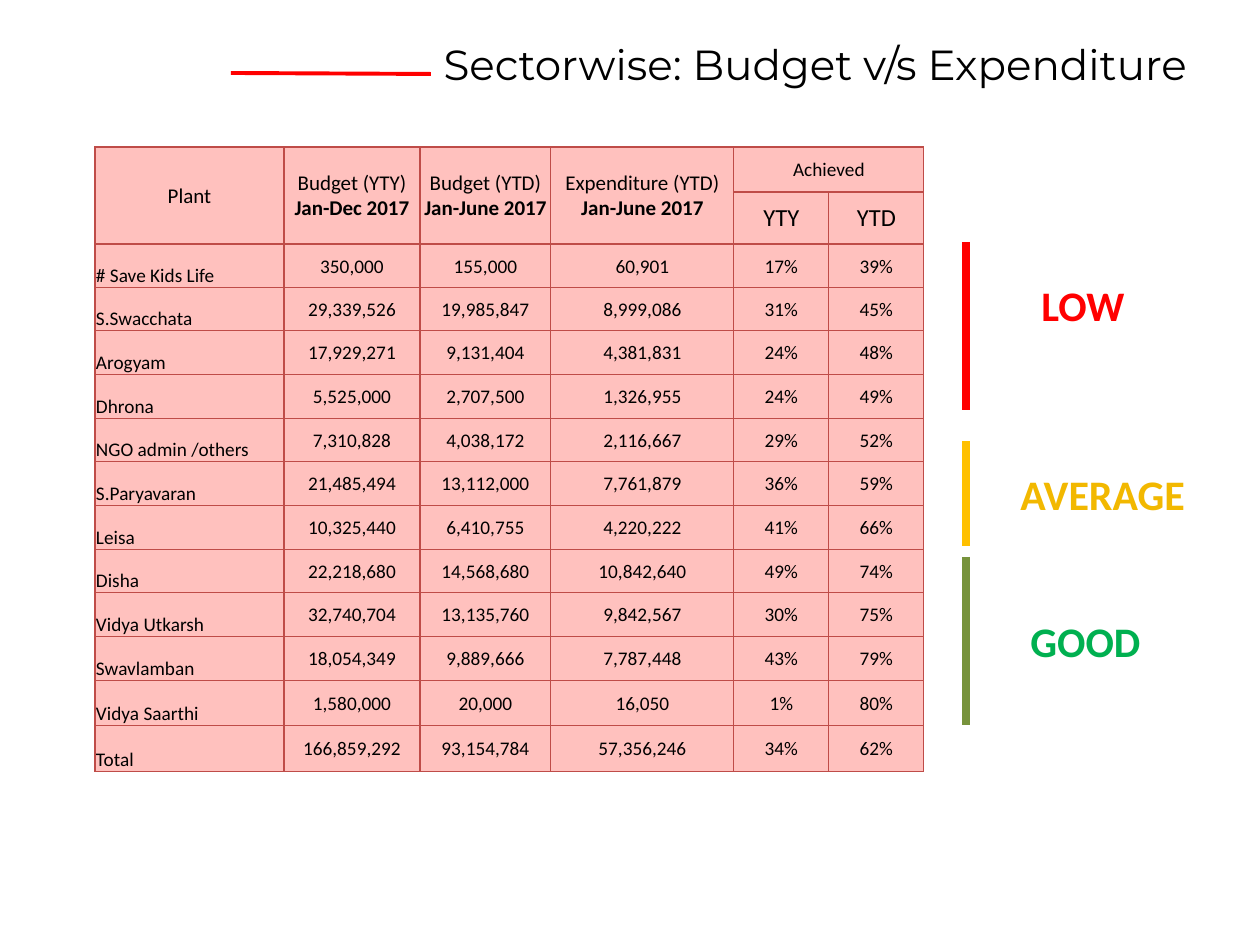
from dataclasses import dataclass

from lxml.etree import SubElement
from pptx import Presentation
from pptx.dml.color import RGBColor
from pptx.enum.shapes import MSO_CONNECTOR
from pptx.enum.text import MSO_ANCHOR, MSO_AUTO_SIZE, PP_ALIGN
from pptx.oxml.ns import qn
from pptx.util import Emu, Pt

PX_PER_INCH = 126

BLACK = RGBColor(0x00, 0x00, 0x00)
RED = RGBColor(0xFF, 0x00, 0x00)
AMBER = RGBColor(0xFF, 0xC0, 0x00)
GOLD = RGBColor(0xF2, 0xB8, 0x00)
OLIVE = RGBColor(0x77, 0x93, 0x3C)
GREEN = RGBColor(0x00, 0xB0, 0x50)
PINK = RGBColor(0xFF, 0xC1, 0xBE)
BORDER = RGBColor(0xBF, 0x4C, 0x48)


@dataclass(frozen=True)
class Box:
    left: int
    top: int
    width: int
    height: int


@dataclass(frozen=True)
class Band:
    name: str
    top: int
    bottom: int
    bar_color: RGBColor
    text_color: RGBColor
    label: Box


@dataclass(frozen=True)
class Header:
    row: int
    col: int
    text: str
    size: int
    period: str = ""
    rows: int = 1
    cols: int = 1


TITLE_BOX = Box(431, 32, 924, 63)
TABLE_BOX = Box(95, 147, 829, 625)
COL_WIDTHS = [189, 136, 131, 183, 95, 95]
ROW_HEIGHTS = [45, 52] + [44, 43, 44] * 3 + [44, 45, 46]
BAND_X = 966

BANDS = [
    Band("LOW", 242, 410, RED, RED, Box(1029, 273, 179, 63)),
    Band("AVERAGE", 441, 546, AMBER, GOLD, Box(1008, 462, 221, 63)),
    Band("GOOD", 557, 725, OLIVE, GREEN, Box(1018, 609, 179, 63)),
]
HEADERS = [
    Header(0, 0, "Plant", 12, rows=2),
    Header(0, 1, "Budget (YTY)", 12, "Jan-Dec 2017", rows=2),
    Header(0, 2, "Budget (YTD)", 12, "Jan-June 2017", rows=2),
    Header(0, 3, "Expenditure (YTD)", 12, "Jan-June 2017", rows=2),
    Header(0, 4, "Achieved", 11, cols=2),
    Header(1, 4, "YTY", 14),
    Header(1, 5, "YTD", 14),
]
PLANTS = [
    ("# Save Kids Life", "350,000", "155,000", "60,901", "17%", "39%"),
    ("S.Swacchata", "29,339,526", "19,985,847", "8,999,086", "31%", "45%"),
    ("Arogyam", "17,929,271", "9,131,404", "4,381,831", "24%", "48%"),
    ("Dhrona", "5,525,000", "2,707,500", "1,326,955", "24%", "49%"),
    ("NGO admin /others", "7,310,828", "4,038,172", "2,116,667", "29%", "52%"),
    ("S.Paryavaran", "21,485,494", "13,112,000", "7,761,879", "36%", "59%"),
    ("Leisa", "10,325,440", "6,410,755", "4,220,222", "41%", "66%"),
    ("Disha", "22,218,680", "14,568,680", "10,842,640", "49%", "74%"),
    ("Vidya Utkarsh", "32,740,704", "13,135,760", "9,842,567", "30%", "75%"),
    ("Swavlamban", "18,054,349", "9,889,666", "7,787,448", "43%", "79%"),
    ("Vidya Saarthi", "1,580,000", "20,000", "16,050", "1%", "80%"),
    ("Total", "166,859,292", "93,154,784", "57,356,246", "34%", "62%"),
]


def px(n: int) -> Emu:
    return Emu(round(n * 914400 / PX_PER_INCH))


def bounds(box: Box) -> tuple:
    return px(box.left), px(box.top), px(box.width), px(box.height)


def set_attrs(obj, values: dict) -> None:
    for name, value in values.items():
        setattr(obj, name, value)


def add_run(p, text: str, size: int, color: RGBColor = BLACK,
            bold: bool = False, font: str = "Calibri") -> None:
    r = p.add_run()
    r.text = text
    set_attrs(r.font, {"name": font, "size": Pt(size), "bold": bold})
    r.font.color.rgb = color


def add_title(slide) -> None:
    sp = slide.shapes.title
    sp.left, sp.top, sp.width, sp.height = bounds(TITLE_BOX)
    tf = sp.text_frame
    set_attrs(tf, {"word_wrap": True, "vertical_anchor": MSO_ANCHOR.TOP,
                   "auto_size": MSO_AUTO_SIZE.SHAPE_TO_FIT_TEXT})
    p = tf.paragraphs[0]
    p.alignment = PP_ALIGN.LEFT
    add_run(p, "Sectorwise: Budget v/s Expenditure", 24, font="Montserrat")


def add_line(slide, x1: int, y1: int, x2: int, y2: int,
             color: RGBColor, width: float) -> None:
    line = slide.shapes.add_connector(
        MSO_CONNECTOR.STRAIGHT, px(x1), px(y1), px(x2), px(y2))
    line.line.color.rgb = color
    line.line.width = Pt(width)
    SubElement(line._element.spPr, qn("a:effectLst"))


def add_band(slide, band: Band) -> None:
    add_line(slide, BAND_X, band.top, BAND_X, band.bottom, band.bar_color, 4.5)
    tf = slide.shapes.add_textbox(*bounds(band.label)).text_frame
    set_attrs(tf, {"word_wrap": True,
                   "auto_size": MSO_AUTO_SIZE.SHAPE_TO_FIT_TEXT})
    add_run(tf.paragraphs[0], band.name, 24, band.text_color, bold=True)


def style_cell(cell) -> None:
    set_attrs(cell, {"margin_left": px(1), "margin_right": px(1),
                     "margin_top": px(1), "margin_bottom": 0,
                     "vertical_anchor": MSO_ANCHOR.MIDDLE})
    tc_pr = cell._tc.get_or_add_tcPr()
    for side in ("lnL", "lnR", "lnT", "lnB"):
        ln = SubElement(tc_pr, qn(f"a:{side}"), w=str(Pt(0.75)))
        fill = SubElement(ln, qn("a:solidFill"))
        SubElement(fill, qn("a:srgbClr"), val=str(BORDER))
    cell.fill.solid()
    cell.fill.fore_color.rgb = PINK


def fill_header(table, h: Header) -> None:
    cell = table.cell(h.row, h.col)
    if h.rows * h.cols > 1:
        cell.merge(table.cell(h.row + h.rows - 1, h.col + h.cols - 1))
    p = cell.text_frame.paragraphs[0]
    p.alignment = PP_ALIGN.CENTER
    add_run(p, h.text, h.size)
    if h.period:
        p.add_line_break()
        add_run(p, h.period, h.size, bold=True)


def add_budget_table(slide) -> None:
    table = slide.shapes.add_table(
        len(ROW_HEIGHTS), len(COL_WIDTHS), *bounds(TABLE_BOX)).table
    set_attrs(table, {"first_row": False, "horz_banding": False})
    for col, width in zip(table.columns, COL_WIDTHS):
        col.width = px(width)
    for row, height in zip(table.rows, ROW_HEIGHTS):
        row.height = px(height)
    for cell in table.iter_cells():
        style_cell(cell)
    for h in HEADERS:
        fill_header(table, h)
    for i, plant in enumerate(PLANTS, start=2):
        for j, text in enumerate(plant):
            cell = table.cell(i, j)
            p = cell.text_frame.paragraphs[0]
            p.alignment = PP_ALIGN.CENTER if j else PP_ALIGN.JUSTIFY
            add_run(p, text, 11)
        table.cell(i, 0).vertical_anchor = MSO_ANCHOR.BOTTOM


def main() -> None:
    prs = Presentation()
    prs.slide_width, prs.slide_height = px(1260), px(945)
    slide = prs.slides.add_slide(prs.slide_layouts[5])
    add_title(slide)
    for band in BANDS:
        add_band(slide, band)
    add_line(slide, 231, 73, 431, 74, RED, 2.25)
    add_budget_table(slide)
    prs.save("out.pptx")


if __name__ == "__main__":
    main()
